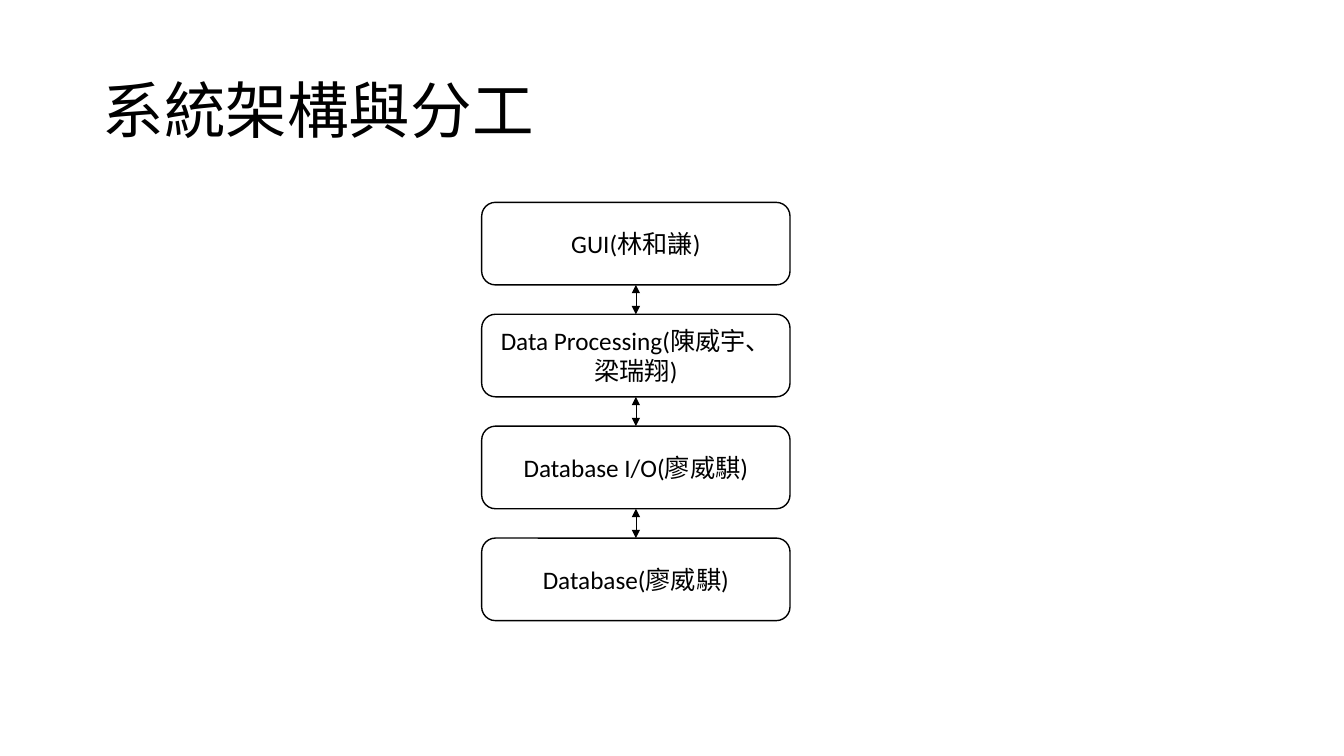
from lxml.etree import SubElement
from pptx import Presentation
from pptx.dml.color import RGBColor
from pptx.enum.shapes import MSO_CONNECTOR as Connector, MSO_SHAPE as Preset
from pptx.enum.text import MSO_ANCHOR as Anchor, MSO_AUTO_SIZE as AutoSize, PP_ALIGN as Align
from pptx.oxml.ns import qn
from pptx.util import Cm, Pt

FONT = "Calibri"
BLACK, WHITE = "000000", "FFFFFF"
TITLE_ONLY = 5
TOP_SITE, BOTTOM_SITE = 0, 2
LAYERS = [
    "GUI(林和謙)",
    "Data Processing(陳威宇、梁瑞翔)",
    "Database I/O(廖威騏)",
    "Database(廖威騏)",
]


def color(hex_string):
    """Turn a hex string into a colour."""
    return RGBColor.from_string(hex_string)


def write_text(shape, text, size=18, align=Align.CENTER, line_spacing=None):
    """Fill a shape with vertically centred, formatted text."""
    frame = shape.text_frame
    frame.text = text
    frame.word_wrap = True
    frame.auto_size = AutoSize.NONE
    frame.vertical_anchor = Anchor.MIDDLE
    paragraph = frame.paragraphs[0]
    paragraph.alignment = align
    paragraph.line_spacing = line_spacing
    font = paragraph.runs[0].font
    font.name, font.size = FONT, Pt(size)
    font.color.rgb = color(BLACK)


def place_title(slide, text, left, top, width, height):
    """Move the title placeholder into its box and fill it."""
    title = slide.shapes.title
    title.left, title.top = Cm(left), Cm(top)
    title.width, title.height = Cm(width), Cm(height)
    write_text(title, text, size=44, align=Align.LEFT, line_spacing=0.9)


def add_layer(slide, text, left, top, width, height):
    """Draw one rounded, outlined layer of the system."""
    layer = slide.shapes.add_shape(
        Preset.ROUNDED_RECTANGLE, Cm(left), Cm(top), Cm(width), Cm(height))
    layer.shadow.inherit = False
    layer.fill.solid()
    layer.fill.fore_color.rgb = color(WHITE)
    layer.line.color.rgb = color(BLACK)
    layer.line.width = Pt(1)
    write_text(layer, text)
    return layer


def link_layers(slide, upper, lower):
    """Join two layers with a double-headed arrow."""
    link = slide.shapes.add_connector(Connector.STRAIGHT, 0, 0, 0, 0)
    link.begin_connect(upper, BOTTOM_SITE)
    link.end_connect(lower, TOP_SITE)
    link.line.color.rgb = color(BLACK)
    link.line.width = Pt(0.5)
    outline = link.line._get_or_add_ln()
    for end in ("a:headEnd", "a:tailEnd"):
        SubElement(outline, qn(end), type="triangle")
    SubElement(link._element.spPr, qn("a:effectLst"))


def add_architecture(slide, names, left, top, width, height, gap=0.74):
    """Stack the layers evenly in the box and link the neighbours."""
    layer_height = (height - gap * (len(names) - 1)) / len(names)
    pitch = layer_height + gap
    layers = [add_layer(slide, name, left, top + row * pitch, width, layer_height)
              for row, name in enumerate(names)]
    for upper, lower in zip(layers, layers[1:]):
        link_layers(slide, upper, lower)


def main():
    """Build the slide and save it."""
    presentation = Presentation()
    presentation.slide_width, presentation.slide_height = Cm(33.87), Cm(19.05)
    slide = presentation.slides.add_slide(presentation.slide_layouts[TITLE_ONLY])
    place_title(slide, "系統架構與分工", left=2.33, top=1.01, width=29.21, height=3.68)
    add_architecture(slide, LAYERS, left=12.14, top=5.1, width=7.77, height=10.54)
    presentation.save("out.pptx")


main()
